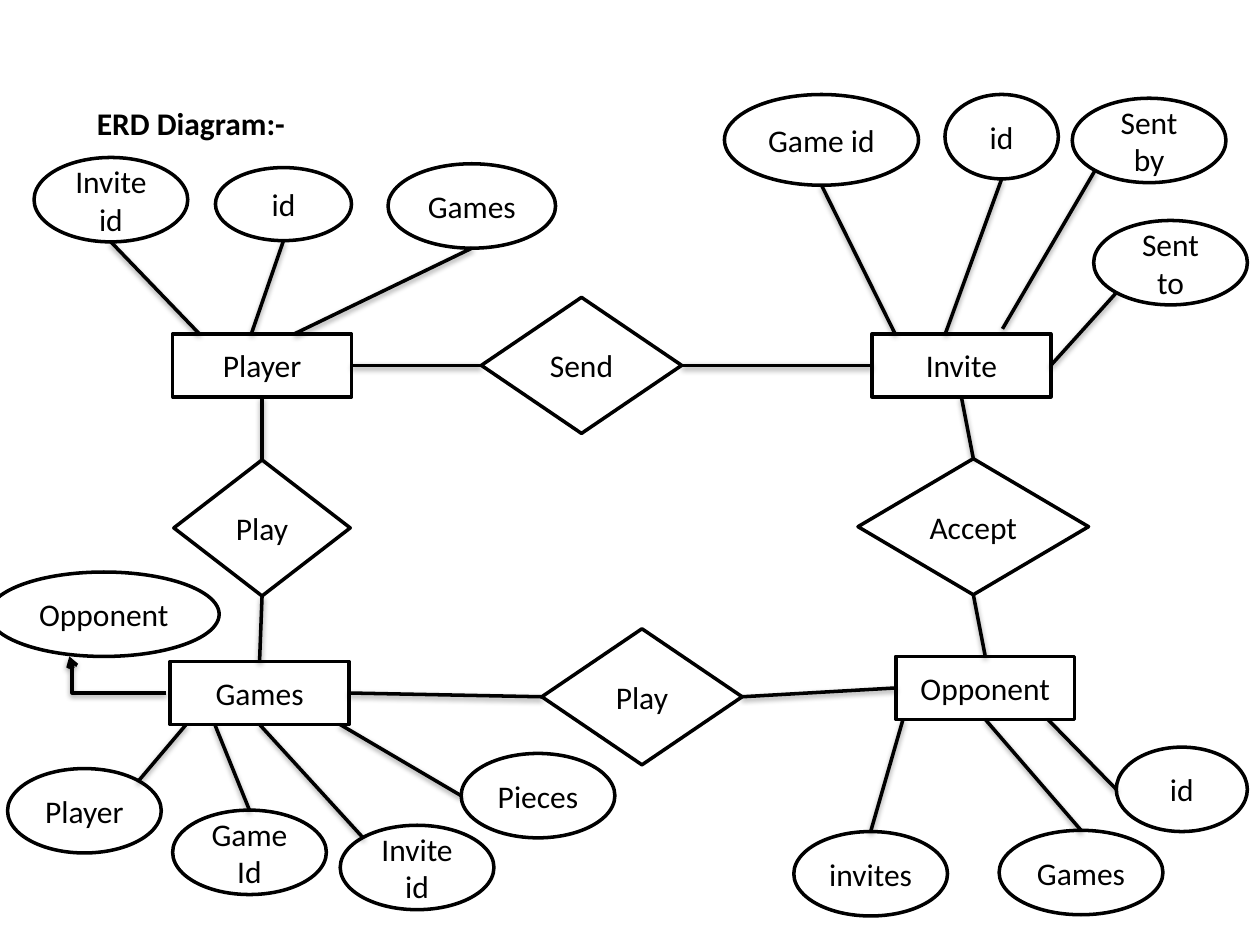
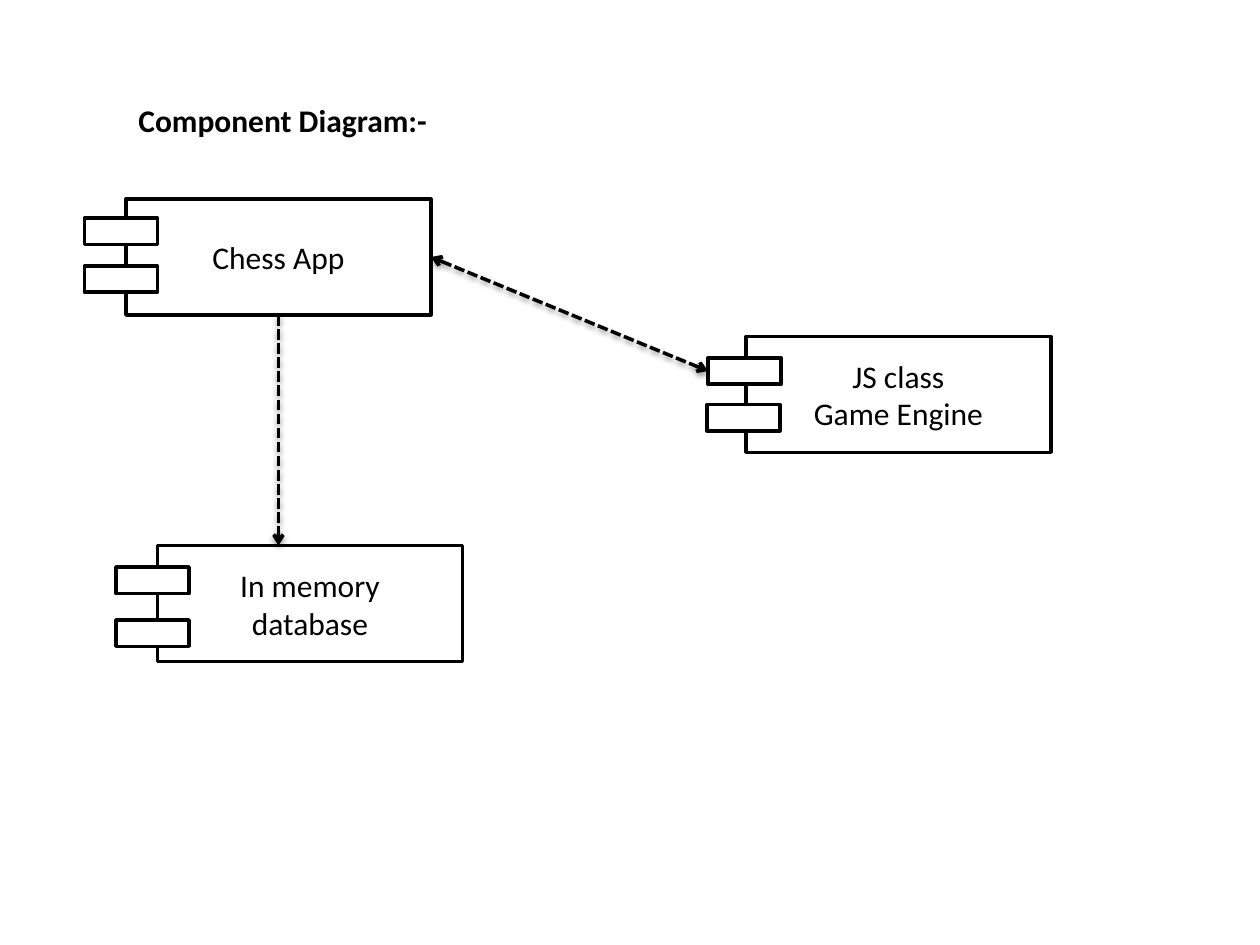
import pptx
import pptx.util
import pptx.dml.color
import pptx.enum.dml
import pptx.enum.shapes
import pptx.enum.text
import pptx.oxml.ns
import lxml.etree

MSO = pptx.enum.shapes.MSO_SHAPE
LINK = pptx.enum.shapes.MSO_CONNECTOR
INK, PAPER = "000000", "FFFFFF"
FONT, SIZE, STROKE = "Calibri", 18, 2

prs = pptx.Presentation()
prs.slide_width, prs.slide_height = pptx.util.Inches(10), pptx.util.Inches(7.5)
# The slide is a grid of 10 columns by 7.5 rows.
COL, ROW = prs.slide_width / 10, prs.slide_height / 7.5

# Places on a box, as shares of its width and height.
TOP, BOTTOM, LEFT, RIGHT = (0.5, 0), (0.5, 1), (0, 0.5), (1, 0.5)
TOP_LEFT, TOP_RIGHT, BOTTOM_LEFT = (0.15, 0.15), (0.85, 0.15), (0.15, 0.85)

ENTITY = (1.42, 0.5)
OVAL = (1.22, 0.67)
COMPONENT = (2.42, 0.92)
LUG = (0.58, 0.21)


def rgb(value):
    """Turn a hex string into a colour."""
    return pptx.dml.color.RGBColor.from_string(value)


def emu(box):
    """Turn columns and rows, in alternation, into slide units."""
    return [round(v * (ROW if i % 2 else COL)) for i, v in enumerate(box)]


def at(box, share):
    """Return the point at a share of a box."""
    x, y, w, h = box
    return x + w * share[0], y + h * share[1]


def offset(box, dx, dy, size):
    """Return a box of a given size, moved from the corner of another."""
    return (box[0] + dx, box[1] + dy, *size)


def write(tf, text, bold=False, align=None):
    """Fill a text frame and format its runs."""
    tf.text = text
    for p in tf.paragraphs:
        p.alignment = align
        for r in p.runs:
            r.font.name, r.font.size = FONT, pptx.util.Pt(SIZE)
            r.font.bold, r.font.color.rgb = bold, rgb(INK)


def outline(line):
    """Give a line the common colour and width."""
    line.color.rgb = rgb(INK)
    line.width = pptx.util.Pt(STROKE)


def node(s, kind, box, text=""):
    """Draw an outlined shape with centred text."""
    sp = s.shapes.add_shape(kind, *emu(box))
    sp.shadow.inherit = False
    sp.fill.solid()
    sp.fill.fore_color.rgb = rgb(PAPER)
    outline(sp.line)
    if text:
        sp.text_frame.word_wrap = True
        sp.text_frame.vertical_anchor = pptx.enum.text.MSO_ANCHOR.MIDDLE
        write(sp.text_frame, text, align=pptx.enum.text.PP_ALIGN.CENTER)


def link(s, start, end, kind=LINK.STRAIGHT, arrows=(), dashed=False):
    """Join two points; the theme gives the line its soft shadow."""
    cx = s.shapes.add_connector(kind, *emu(start + end))
    outline(cx.line)
    if dashed:
        cx.line.dash_style = pptx.enum.dml.MSO_LINE.SQUARE_DOT
    qn = pptx.oxml.ns.qn
    ln = cx.element.find(".//" + qn("a:ln"))
    for name in arrows:
        lxml.etree.SubElement(ln, qn("a:" + name), type="arrow")
    return cx


def bend(cx, share):
    """Set where an elbow line turns, as a share of its width."""
    qn = pptx.oxml.ns.qn
    geom = cx.element.find(".//" + qn("a:prstGeom"))
    av = geom.find(qn("a:avLst"))
    if av is None:
        av = lxml.etree.SubElement(geom, qn("a:avLst"))
    lxml.etree.SubElement(av, qn("a:gd"), name="adj1",
                          fmla=f"val {round(share * 100000)}")


def heading(s, box, text):
    """Write the bold heading of a slide."""
    tf = s.shapes.add_textbox(*emu(box)).text_frame
    tf.word_wrap = False
    tf.auto_size = pptx.enum.text.MSO_AUTO_SIZE.SHAPE_TO_FIT_TEXT
    write(tf, text, bold=True)


def entity(s, box, name, attributes):
    """Draw an entity with ovals around it, each joined to its edge."""
    node(s, MSO.RECTANGLE, box, name)
    for text, dx, dy, size, site, edge in attributes:
        oval = offset(box, dx, dy, size)
        node(s, MSO.OVAL, oval, text)
        link(s, at(oval, site), at(box, edge))


def relationship(s, box, name, first, second, sites):
    """Draw a diamond between two entities; sites are its two corners."""
    node(s, MSO.DIAMOND, box, name)
    opposite = {TOP: BOTTOM, BOTTOM: TOP, LEFT: RIGHT, RIGHT: LEFT}
    for other, site in zip((first, second), sites):
        link(s, at(box, site), at(other, opposite[site]))


def self_reference(s, box, name):
    """Draw the oval that an entity points to with an elbow arrow."""
    oval = offset(box, -1.44, -0.71, (1.83, 0.67))
    node(s, MSO.OVAL, oval, name)
    x, y = at(box, LEFT)
    cx = link(s, (x - 0.03, y), at(oval, (0.35, 1)), LINK.ELBOW, ["tailEnd"])
    bend(cx, 0.97)


def component(s, box, text, lugs):
    """Draw a component box with lugs over its left edge."""
    node(s, MSO.RECTANGLE, box, text)
    for dx, dy in lugs:
        node(s, MSO.RECTANGLE, offset(box, dx, dy, LUG))


def erd_slide(s):
    """Build the entity relationship diagram."""
    player, invite = (1.37, 2.65, *ENTITY), (6.92, 2.65, *ENTITY)
    games, opponent = (1.35, 5.25, *ENTITY), (7.11, 5.21, *ENTITY)
    entity(s, player, "Player", [
        ("Invite id", -1.1, -1.4, OVAL, BOTTOM, (0.15, 0)),
        ("id", 0.34, -1.32, (1.08, 0.58), BOTTOM, (0.44, 0)),
        ("Games", 1.71, -1.35, (1.33, 0.67), BOTTOM, (0.68, 0)),
    ])
    entity(s, games, "Games", [
        ("Player", -1.29, 0.85, OVAL, TOP_RIGHT, (0.09, 1)),
        ("Game Id", 0.02, 1.18, OVAL, TOP, (0.25, 1)),
        ("Invite id", 1.35, 1.3, OVAL, TOP_LEFT, BOTTOM),
        ("Pieces", 2.31, 0.73, OVAL, LEFT, (0.95, 1)),
    ])
    self_reference(s, games, "Opponent")
    entity(s, invite, "Invite", [
        ("Game id", -1.17, -1.9, (1.54, 0.72), BOTTOM, (0.13, 0)),
        ("id", 0.58, -1.9, (0.9, 0.67), BOTTOM, (0.41, 0)),
        ("Sent by", 1.59, -1.87, OVAL, BOTTOM_LEFT, (0.73, -0.08)),
        ("Sent to", 1.76, -0.9, OVAL, BOTTOM_LEFT, RIGHT),
    ])
    entity(s, opponent, "Opponent", [
        ("id", 1.75, 0.72, (1.04, 0.67), LEFT, (0.85, 1)),
        ("Games", 0.82, 1.38, (1.3, 0.67), TOP, BOTTOM),
        ("invites", -0.81, 1.39, OVAL, TOP, (0.04, 1)),
    ])
    across, down = (LEFT, RIGHT), (TOP, BOTTOM)
    relationship(s, (3.82, 2.36, 1.59, 1.08), "Send", player, invite, across)
    relationship(s, (4.3, 4.99, 1.59, 1.08), "Play", games, opponent, across)
    relationship(s, (1.38, 3.65, 1.4, 1.08), "Play", player, games, down)
    relationship(s, (6.81, 3.64, 1.83, 1.08), "Accept", invite, opponent, down)
    heading(s, (0.67, 0.78, 1.71, 0.4), "ERD Diagram:-")


def component_slide(s):
    """Build the component diagram."""
    app, engine = (1, 1.58, *COMPONENT), (5.92, 2.67, *COMPONENT)
    database = (1.25, 4.33, *COMPONENT)
    component(s, app, "Chess App", [(-0.33, 0.15), (-0.33, 0.53)])
    component(s, engine, "JS class\nGame Engine",
              [(-0.3, 0.17), (-0.31, 0.54)])
    component(s, database, "In memory\ndatabase",
              [(-0.33, 0.17), (-0.33, 0.59)])
    x, y = at(app, BOTTOM)
    link(s, (x, y), (x, database[1]), arrows=["tailEnd"], dashed=True)
    engine_lug = offset(engine, -0.3, 0.17, LUG)
    link(s, at(app, RIGHT), at(engine_lug, LEFT),
         arrows=["headEnd", "tailEnd"], dashed=True)
    heading(s, (1, 0.75, 2.51, 0.4), "Component Diagram:-")


for build in (erd_slide, component_slide):
    build(prs.slides.add_slide(prs.slide_layouts[6]))
prs.save("out.pptx")
